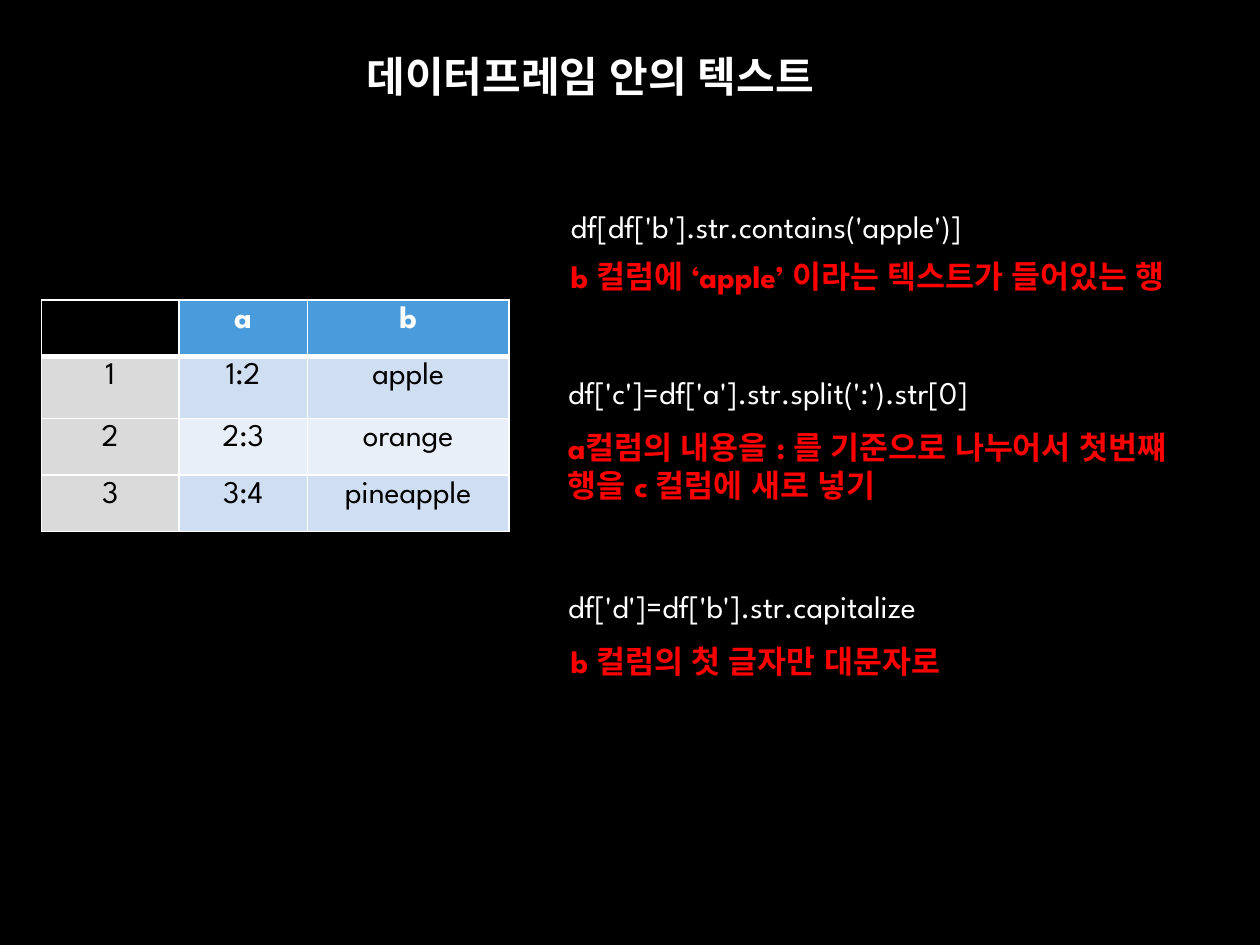
from lxml import etree
from pptx import Presentation
from pptx.dml.color import RGBColor
from pptx.enum.text import MSO_AUTO_SIZE, PP_ALIGN
from pptx.oxml.ns import qn
from pptx.util import Inches, Pt

LEFT, CENTER = PP_ALIGN.LEFT, PP_ALIGN.CENTER
FIT_SHAPE = MSO_AUTO_SIZE.SHAPE_TO_FIT_TEXT
FONT = "League Spartan"
COLORS = {
    "background": "000000",
    "white": "FFFFFF",
    "black": "000000",
    "note": "FF0000",
    "header": "4A9BDC",
    "index": "DADADA",
    "odd": "D0DEF2",
    "even": "E9EFF9",
}
FRAME_ROWS = [
    ["", "a", "b"],
    ["1", "1:2", "apple"],
    ["2", "2:3", "orange"],
    ["3", "3:4", "pineapple"],
]
EXAMPLES = [
    ((4.43, 1.59, 3.79, 0.4), "df[df['b'].str.contains('apple')]",
     (4.43, 1.99, 5.49, 0.4), "b 컬럼에 ‘apple’ 이라는 텍스트가 들어있는 행"),
    ((4.41, 2.91, 3.71, 0.4), "df['c']=df['a'].str.split(':').str[0]",
     (4.41, 3.35, 5.4, 0.71),
     "a컬럼의 내용을 : 를 기준으로 나누어서 첫번쨰\n행을 c 컬럼에 새로 넣기"),
    ((4.41, 4.61, 3.35, 0.4), "df['d']=df['b'].str.capitalize",
     (4.43, 5.05, 3.5, 0.4), "b 컬럼의 첫 글자만 대문자로"),
]


def rgb(name):
    return RGBColor.from_string(COLORS[name])


def write_text(frame, text, size=18, color="white", bold=False, align=LEFT):
    frame.text = text
    for paragraph in frame.paragraphs:
        paragraph.alignment = align
        for run in paragraph.runs:
            font = run.font
            font.size = Pt(size)
            font.bold = bold
            font.color.rgb = rgb(color)
            font.name = FONT
            etree.SubElement(font._element, qn("a:ea"), typeface=FONT)


def add_text(slide, box, text, **style):
    frame = slide.shapes.add_textbox(*map(Inches, box)).text_frame
    frame.word_wrap = False
    frame.auto_size = FIT_SHAPE
    write_text(frame, text, **style)


def set_borders(cell, bottom=1, top=1):
    properties = cell._tc.get_or_add_tcPr()
    widths = {"a:lnL": 1, "a:lnR": 1, "a:lnT": top, "a:lnB": bottom}
    for position, (side, width) in enumerate(widths.items()):
        line = etree.Element(qn(side), w=str(Pt(width)))
        fill = etree.SubElement(line, qn("a:solidFill"))
        etree.SubElement(fill, qn("a:srgbClr"), val=COLORS["white"])
        properties.insert(position, line)


def cell_fill(row, column):
    if row == 0:
        return "header" if column else "black"
    if column == 0:
        return "index"
    return "odd" if row % 2 else "even"


def add_frame_table(slide, box):
    table = slide.shapes.add_table(
        len(FRAME_ROWS), len(FRAME_ROWS[0]), *map(Inches, box)).table
    for column, width in zip(table.columns, (1.09, 1.02, 1.6)):
        column.width = Inches(width)
    for row, height in zip(table.rows, (0.45, 0.49, 0.45, 0.45)):
        row.height = Inches(height)
    for r, values in enumerate(FRAME_ROWS):
        for c, value in enumerate(values):
            cell = table.cell(r, c)
            is_header = r == 0
            cell.fill.solid()
            cell.fill.fore_color.rgb = rgb(cell_fill(r, c))
            set_borders(cell, bottom=3 if is_header else 1, top=3 if r == 1 else 1)
            write_text(cell.text_frame, value, bold=is_header, align=CENTER,
                       color="white" if is_header else "black")


def add_example(slide, code_box, code, note_box, note):
    add_text(slide, code_box, code)
    add_text(slide, note_box, note, color="note", bold=True)


def main():
    deck = Presentation()
    deck.slide_width, deck.slide_height = Inches(10), Inches(7.5)
    slide = deck.slides.add_slide(deck.slide_layouts[6])
    slide.background.fill.solid()
    slide.background.fill.fore_color.rgb = rgb("background")
    add_text(slide, (2.81, 0.35, 4.19, 0.5), "데이터프레임 안의 텍스트", size=24, bold=True)
    add_frame_table(slide, (0.33, 2.38, 3.7, 1.85))
    for example in EXAMPLES:
        add_example(slide, *example)
    deck.save("out.pptx")


if __name__ == "__main__":
    main()
